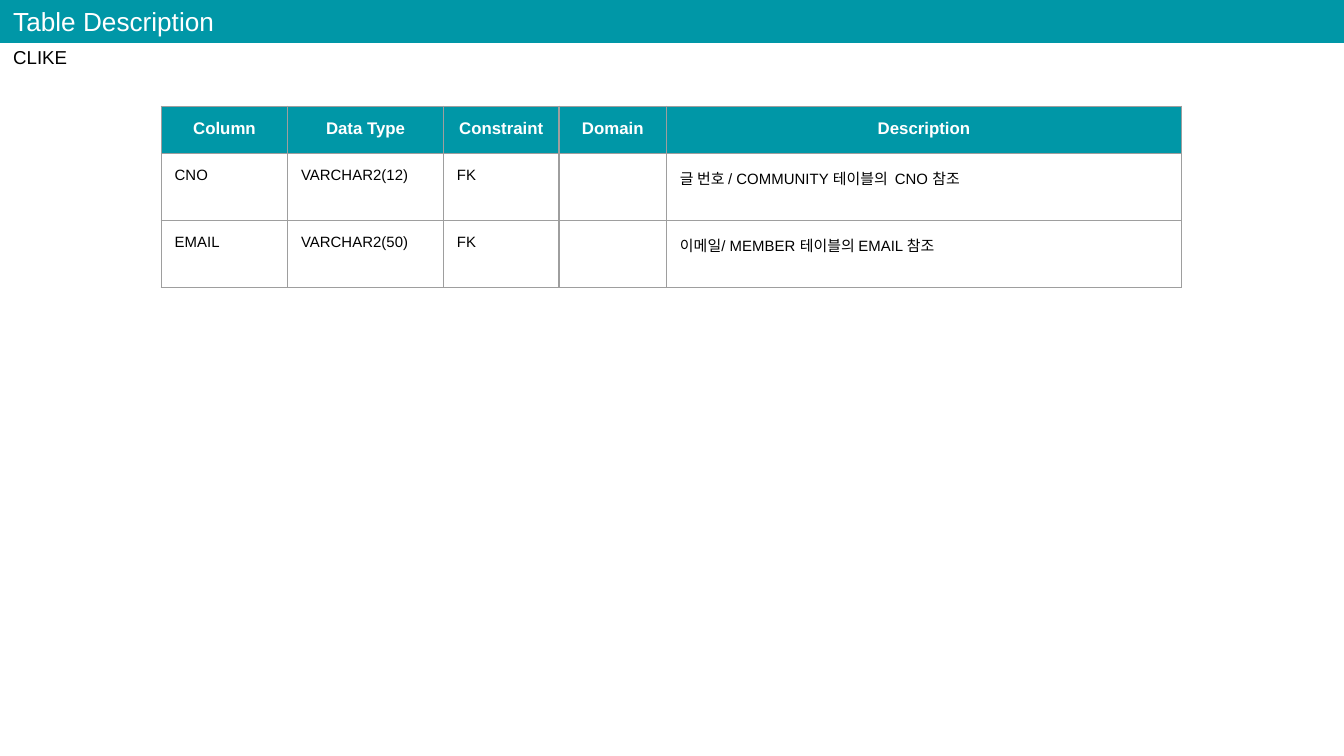
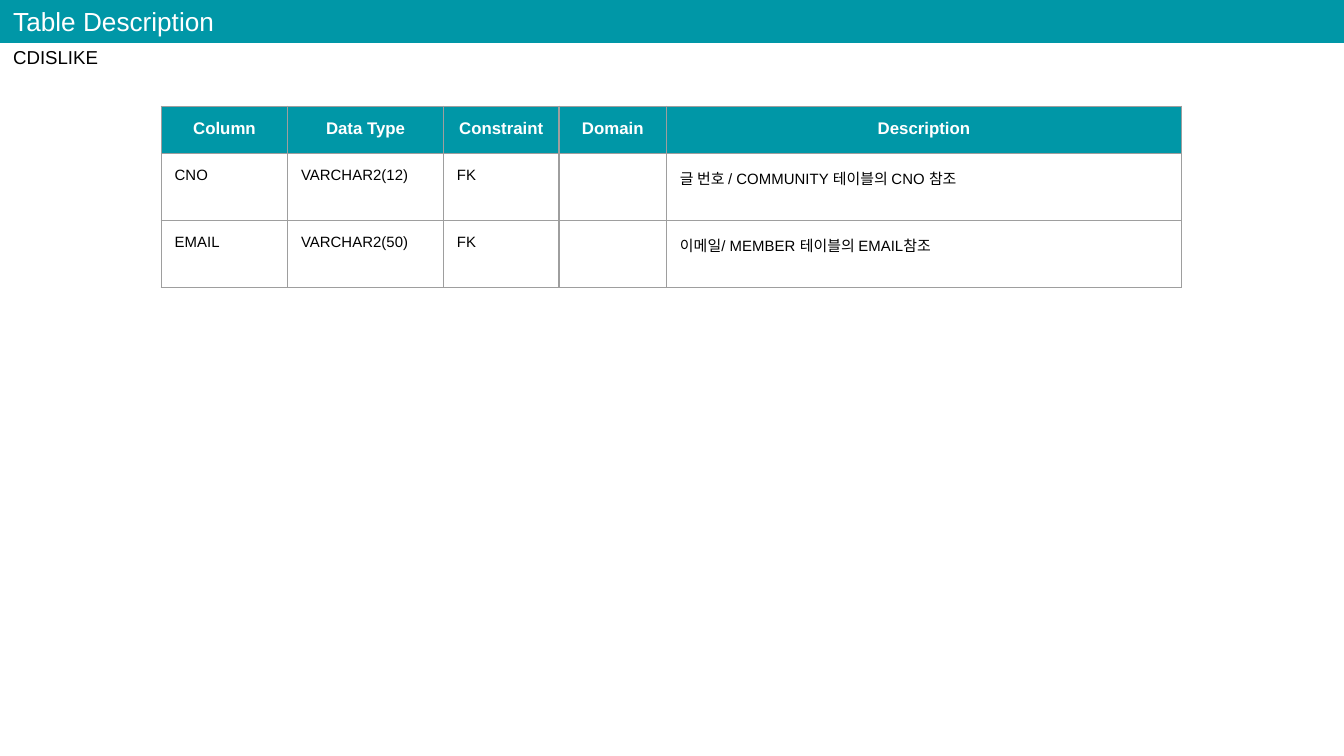
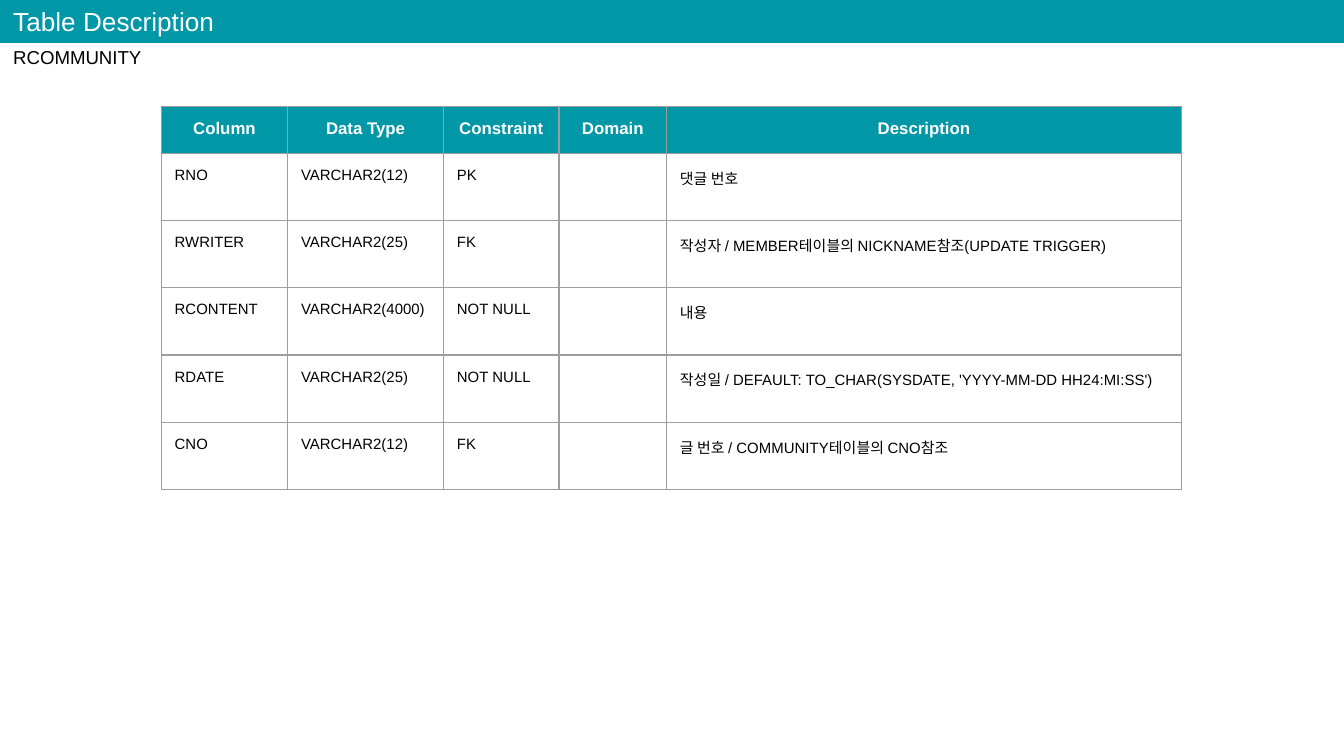
from lxml.etree import SubElement
from pptx import Presentation
from pptx.dml.color import RGBColor
from pptx.enum.shapes import MSO_SHAPE as SHAPE
from pptx.enum.text import MSO_AUTO_SIZE as AUTO, PP_ALIGN as ALIGN
from pptx.oxml.ns import qn
from pptx.util import Inches, Pt

WIDTH = 10
HEIGHT = WIDTH * 9 / 16
FONT = "Arial"
TEAL, GREY, BLACK, WHITE = "0097A7", "9E9E9E", "000000", "FFFFFF"
INSET = Inches(0.1)
BAND_HEIGHT = 0.32
LABEL_WIDTH = 2.82
TABLE_LEFT, TABLE_TOP = 1.2, 0.79
HEADER_HEIGHT, ROW_HEIGHT = 0.35, 0.5
COLUMNS = {"Column": 0.94, "Data Type": 1.16, "Constraint": 0.86,
           "Domain": 0.8, "Description": 3.83}

# Each database table: (column, data type, constraint, domain, description)
TABLES = {
    "CLIKE": [
        ("CNO", "VARCHAR2(12)", "FK", "", "글 번호 / COMMUNITY 테이블의  CNO 참조"),
        ("EMAIL", "VARCHAR2(50)", "FK", "", "이메일/ MEMBER 테이블의 EMAIL 참조"),
    ],
    "CDISLIKE": [
        ("CNO", "VARCHAR2(12)", "FK", "", "글 번호 / COMMUNITY 테이블의 CNO 참조"),
        ("EMAIL", "VARCHAR2(50)", "FK", "", "이메일/ MEMBER 테이블의 EMAIL참조"),
    ],
    "RCOMMUNITY": [
        ("RNO", "VARCHAR2(12)", "PK", "", "댓글 번호"),
        ("RWRITER", "VARCHAR2(25)", "FK", "",
         "작성자 / MEMBER테이블의 NICKNAME참조(UPDATE TRIGGER)"),
        ("RCONTENT", "VARCHAR2(4000)", "NOT NULL", "", "내용"),
        ("RDATE", "VARCHAR2(25)", "NOT NULL", "",
         "작성일 / DEFAULT: TO_CHAR(SYSDATE, 'YYYY-MM-DD HH24:MI:SS')"),
        ("CNO", "VARCHAR2(12)", "FK", "", "글 번호 / COMMUNITY테이블의 CNO참조"),
    ],
}


def rgb(value):
    """Turn a hex string into a colour."""
    return RGBColor.from_string(value)


def write(tf, text, size, color=BLACK, bold=False, align=ALIGN.LEFT):
    """Write one formatted line into a text frame."""
    p = tf.paragraphs[0]
    p.alignment = align
    r = p.add_run()
    r.text = text
    r.font.name, r.font.size, r.font.bold = FONT, Pt(size), bold
    r.font.color.rgb = rgb(color)


def set_insets(box):
    """Give a text frame or a cell the same margin on all sides."""
    box.margin_left = box.margin_right = INSET
    box.margin_top = box.margin_bottom = INSET


def add_label(s, text, top, height, **fmt):
    """Add a text box at the left edge of the slide."""
    sp = s.shapes.add_textbox(0, Inches(top), Inches(LABEL_WIDTH), Inches(height))
    tf = sp.text_frame
    tf.word_wrap = True
    tf.auto_size = AUTO.SHAPE_TO_FIT_TEXT
    set_insets(tf)
    write(tf, text, **fmt)


def add_title_band(s, title):
    """Add the coloured band across the top with the slide title on it."""
    sp = s.shapes.add_shape(SHAPE.RECTANGLE, 0, 0, Inches(WIDTH), Inches(BAND_HEIGHT))
    sp.shadow.inherit = False
    sp.fill.solid()
    sp.fill.fore_color.rgb = rgb(TEAL)
    sp.line.fill.background()
    add_label(s, title, -0.06, 0.44, size=14, color=WHITE)


def set_borders(cell):
    """Draw a thin grey line on the four sides of a cell."""
    tc_pr = cell._tc.get_or_add_tcPr()
    for side in ("a:lnL", "a:lnR", "a:lnT", "a:lnB"):
        ln = SubElement(tc_pr, qn(side), w=str(Pt(0.75)))
        fill = SubElement(ln, qn("a:solidFill"))
        SubElement(fill, qn("a:srgbClr"), val=GREY)


def fill_cell(cell, text, is_header):
    """Style one cell as header or body and write its text."""
    set_insets(cell)
    set_borders(cell)
    if is_header:
        cell.fill.solid()
        cell.fill.fore_color.rgb = rgb(TEAL)
        write(cell.text_frame, text, size=9, color=WHITE, bold=True, align=ALIGN.CENTER)
    else:
        cell.fill.background()
        if text:
            write(cell.text_frame, text, size=8)


def add_column_table(s, rows):
    """Add the table that describes the columns of a database table."""
    height = HEADER_HEIGHT + ROW_HEIGHT * len(rows)
    frame = s.shapes.add_table(len(rows) + 1, len(COLUMNS), Inches(TABLE_LEFT),
                               Inches(TABLE_TOP), Inches(sum(COLUMNS.values())),
                               Inches(height))
    table = frame.table
    table.first_row = table.horz_banding = False
    for column, width in zip(table.columns, COLUMNS.values()):
        column.width = Inches(width)
    for i, values in enumerate([tuple(COLUMNS), *rows]):
        table.rows[i].height = Inches(ROW_HEIGHT if i else HEADER_HEIGHT)
        for j, text in enumerate(values):
            fill_cell(table.cell(i, j), text, is_header=i == 0)


def main():
    """Build one slide for each database table."""
    prs = Presentation()
    prs.slide_width, prs.slide_height = Inches(WIDTH), Inches(HEIGHT)
    for name, rows in TABLES.items():
        s = prs.slides.add_slide(prs.slide_layouts[6])
        add_label(s, name, 0.26, 0.37, size=10)
        add_column_table(s, rows)
        add_title_band(s, "Table Description")
    prs.save("out.pptx")


main()
